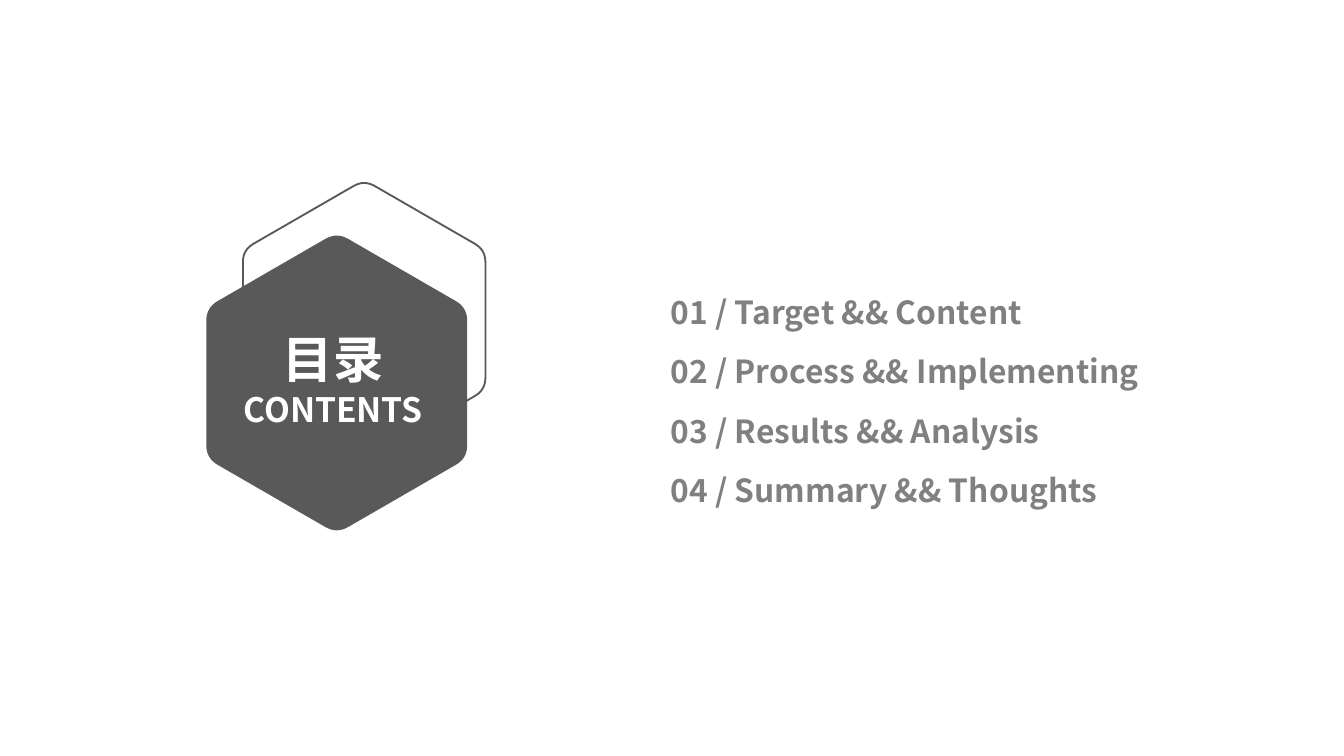
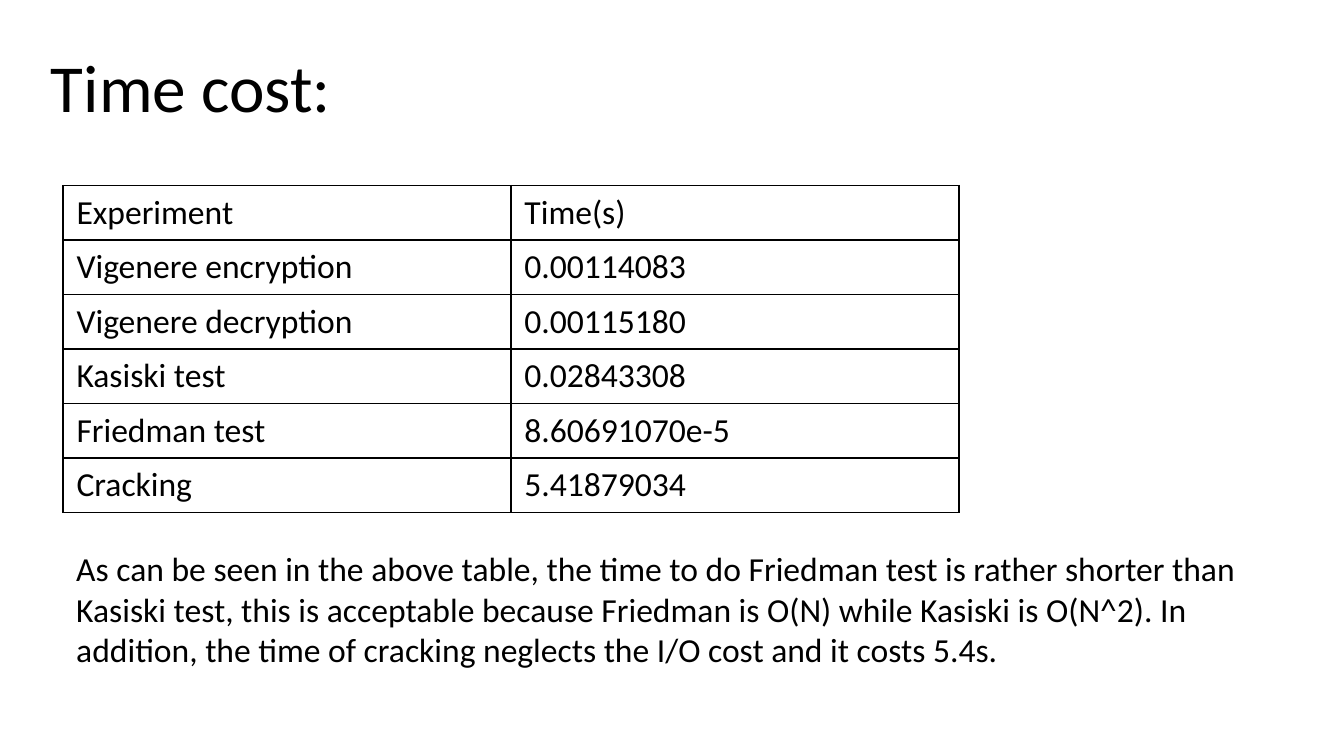
"""Build a contents slide and a time cost slide."""
import math

from lxml import etree
from pptx import Presentation
from pptx.dml.color import RGBColor
from pptx.enum.text import MSO_AUTO_SIZE, PP_ALIGN
from pptx.oxml.ns import qn
from pptx.util import Pt

LEFT, CENTER = PP_ALIGN.LEFT, PP_ALIGN.CENTER
GROW = MSO_AUTO_SIZE.SHAPE_TO_FIT_TEXT
SANS, BODY = "Noto Sans CJK SC", "Calibri"
DARK, GREY, BLACK, WHITE = "595959", "808080", "000000", "FFFFFF"
TIGHT = (5.04, 2.88)


def rgb(color):
    return RGBColor.from_string(color)


def add_text(tf, text, size=18, font=BODY, color=BLACK, bold=False, align=LEFT, new=False):
    p = tf.add_paragraph() if new else tf.paragraphs[0]
    p.alignment = align
    r = p.add_run()
    r.text = text
    r.font.size, r.font.name, r.font.bold = Pt(size), font, bold
    r.font.color.rgb = rgb(color)
    etree.SubElement(r.font._element, qn("a:ea"), typeface=font)


prs = Presentation()
prs.slide_width, prs.slide_height = Pt(720), Pt(405)
blank = prs.slide_layouts[6]

s = prs.slides.add_slide(blank)
hexagons = [(195.1, 171.4, 75, 6.5, None, DARK), (180.4, 205.2, 80.7, 7, DARK, None)]
for cx, cy, radius, cut, fill, line in hexagons:
    corners = [(cx + radius * math.sin(math.radians(a)), cy - radius * math.cos(math.radians(a)))
               for a in range(0, 360, 60)]
    points = []
    for i, (x, y) in enumerate(corners):
        px, py = corners[i - 1]
        nx, ny = corners[(i + 1) % 6]
        for step in range(9):
            t = step / 8
            before, after = (1 - t) ** 2 * cut / radius, t ** 2 * cut / radius
            points.append((Pt(x + before * (px - x) + after * (nx - x)),
                           Pt(y + before * (py - y) + after * (ny - y))))
    builder = s.shapes.build_freeform(*points[0], scale=1.0)
    builder.add_line_segments(points[1:], close=True)
    sp = builder.convert_to_shape()
    sp.shadow.inherit = False
    if fill:
        sp.fill.solid()
        sp.fill.fore_color.rgb = rgb(fill)
    else:
        sp.fill.background()
    if line:
        sp.line.color.rgb = rgb(line)
        sp.line.width = Pt(1)
    else:
        sp.line.fill.background()

topics = [("Target && Content", 234.7, 26), ("Process && Implementing", 292.3, 26),
          ("Results && Analysis", 247, 26), ("Summary && Thoughts", 260.6, 46.8)]
boxes = [(s, (354.2, 154.1 + 31.7 * i, w, h), TIGHT,
          [(f"{i + 1:02d} / {topic}", dict(size=17, font=SANS, color=GREY, bold=True))])
         for i, (topic, w, h) in enumerate(topics)]
label = dict(font=SANS, color=WHITE, bold=True, align=CENTER)
boxes.append((s, (113, 172.8, 131, 59.8), TIGHT,
              [("目录", dict(label, size=27)), ("CONTENTS", dict(label, size=18))]))

s = prs.slides.add_slide(blank)
boxes.append((s, (20.2, 20.9, 393.8, 51.1), (7.2, 3.6), [("Time cost:", dict(size=36))]))
boxes.append((s, (33.8, 290.2, 655.2, 72.7), (7.2, 3.6), [(
    "As can be seen in the above table, the time to do Friedman test is rather shorter than "
    "Kasiski test, this is acceptable because Friedman is O(N) while Kasiski is O(N^2). "
    "In addition, the time of cracking neglects the I/O cost and it costs 5.4s.", {})]))

for slide, place, (side, top), paragraphs in boxes:
    tf = slide.shapes.add_textbox(*map(Pt, place)).text_frame
    tf.word_wrap, tf.auto_size = True, GROW
    tf.margin_left = tf.margin_right = Pt(side)
    tf.margin_top = tf.margin_bottom = Pt(top)
    for i, (text, style) in enumerate(paragraphs):
        add_text(tf, text, new=i > 0, **style)

rows = [
    ("Experiment", "Time(s)"),
    ("Vigenere encryption", "0.00114083"),
    ("Vigenere decryption", "0.00115180"),
    ("Kasiski test", "0.02843308"),
    ("Friedman test", "8.60691070e-5"),
    ("Cracking", "5.41879034"),
]
table = s.shapes.add_table(len(rows), 2, Pt(33.8), Pt(99.4), Pt(480), Pt(175.2)).table
table.first_row = table.horz_banding = False
for i, row in enumerate(rows):
    for j, text in enumerate(row):
        cell = table.cell(i, j)
        add_text(cell.text_frame, text)
        tcPr = cell._tc.get_or_add_tcPr()
        for edge in ("a:lnL", "a:lnR", "a:lnT", "a:lnB"):
            ln = etree.SubElement(tcPr, qn(edge), w=str(Pt(1)))
            fill = etree.SubElement(ln, qn("a:solidFill"))
            etree.SubElement(fill, qn("a:srgbClr"), val=BLACK)
        cell.fill.background()

prs.save("out.pptx")
